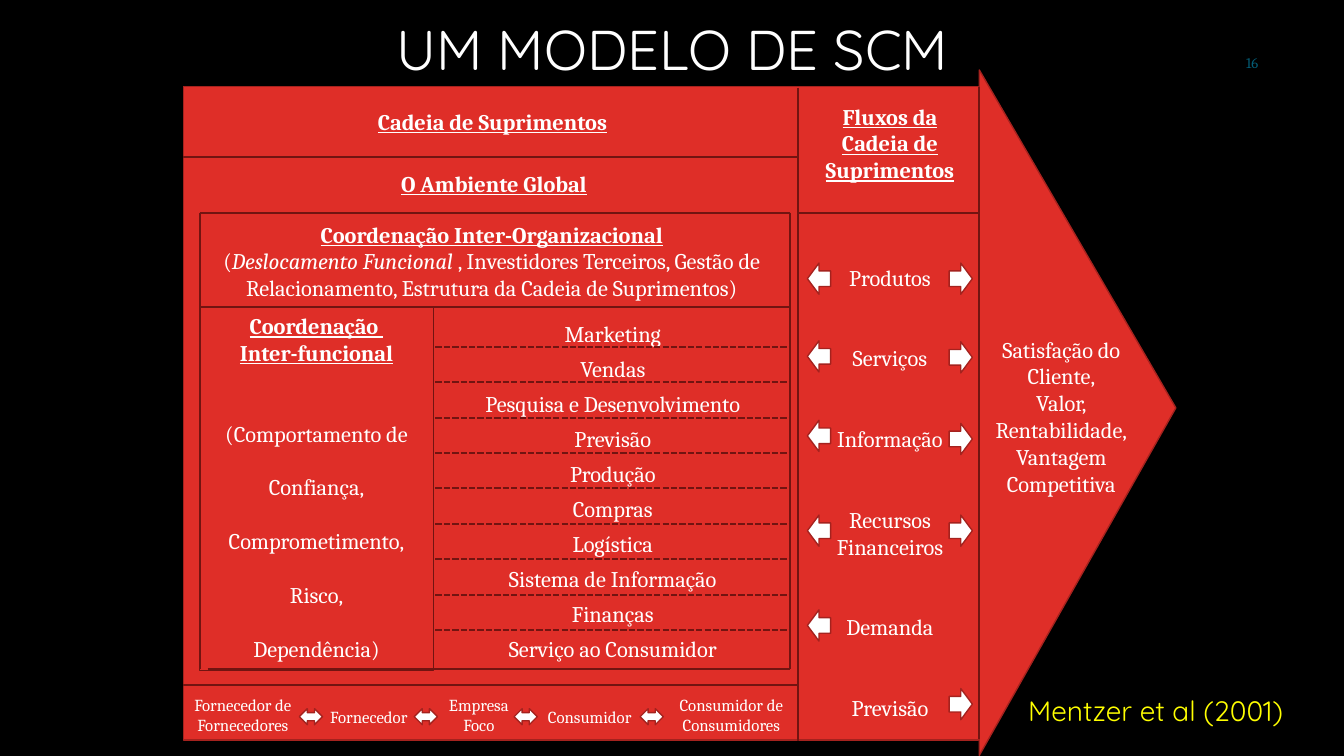
import lxml.etree
import pptx
import pptx.dml.color
import pptx.enum.dml
import pptx.enum.shapes
import pptx.enum.text
import pptx.oxml.ns
import pptx.util

Pt = pptx.util.Pt
ALIGN = pptx.enum.text.PP_ALIGN
ANCHOR = pptx.enum.text.MSO_ANCHOR
SHAPE = pptx.enum.shapes.MSO_SHAPE

LINE_HEIGHT = 19.2  # one line of 16 pt text


def colour(value):
    return pptx.dml.color.RGBColor.from_string(value)


def write(frame, text, font="Cambria", size=16, color="FFFFFF", bold=False,
          italic=False, underline=False, align=ALIGN.CENTER, spacing=None,
          before=0, paragraph=None):
    """Add one paragraph per line of text, or a run to the given paragraph."""
    for line in text.split("\n"):
        target = paragraph
        if target is None:
            first = frame.paragraphs[0]
            target = frame.add_paragraph() if first.runs else first
            target.alignment = align
            target.space_before = Pt(before)
            if spacing:
                target.line_spacing = spacing
        run = target.add_run()
        run.text = line
        run.font.name = font
        run.font.size = Pt(size)
        run.font.bold = bold
        run.font.italic = italic
        run.font.underline = underline
        run.font.color.rgb = colour(color)
    return target


class ModelSlide:
    red = "DF2E28"
    edge = "A5221E"
    divider = "721411"
    white = "FFFFFF"
    heading = {"bold": True, "underline": True}

    def __init__(self, presentation):
        self.slide = presentation.slides.add_slide(presentation.slide_layouts[1])
        self.slide.background.fill.solid()
        self.slide.background.fill.fore_color.rgb = colour("000000")

    def placeholder(self, index, left, top, width, height, text, anchor, **style):
        shape = self.slide.placeholders[index]
        shape.left, shape.top = Pt(left), Pt(top)
        shape.width, shape.height = Pt(width), Pt(height)
        frame = shape.text_frame
        frame.auto_size = pptx.enum.text.MSO_AUTO_SIZE.NONE
        frame.vertical_anchor = anchor
        paragraph = write(frame, text, font="Quicksand", spacing=0.9, **style)
        properties = paragraph._p.get_or_add_pPr()
        properties.set("marL", "0")
        properties.set("indent", "0")
        lxml.etree.SubElement(properties, pptx.oxml.ns.qn("a:buNone"))

    def text(self, left, top, width, height, text="", wrap=True,
             anchor=ANCHOR.TOP, **style):
        box = self.slide.shapes.add_textbox(Pt(left), Pt(top), Pt(width), Pt(height))
        frame = box.text_frame
        frame.word_wrap = wrap
        frame.vertical_anchor = anchor
        if text:
            write(frame, text, **style)
        return frame

    def shape(self, kind, left, top, width, height, fill=None, line=edge, weight=1):
        shape = self.slide.shapes.add_shape(
            kind, Pt(left), Pt(top), Pt(width), Pt(height))
        shape.shadow.inherit = False
        if fill:
            shape.fill.solid()
            shape.fill.fore_color.rgb = colour(fill)
        else:
            shape.fill.background()
        shape.line.color.rgb = colour(line)
        shape.line.width = Pt(weight)
        return shape

    def line(self, x1, y1, x2, y2, dashed=False):
        connector = self.slide.shapes.add_connector(
            pptx.enum.shapes.MSO_CONNECTOR.STRAIGHT, Pt(x1), Pt(y1), Pt(x2), Pt(y2))
        connector.line.color.rgb = colour(self.divider)
        connector.line.width = Pt(1.5)
        if dashed:
            connector.line.dash_style = pptx.enum.dml.MSO_LINE.SQUARE_DOT
        lxml.etree.SubElement(connector.element.spPr, pptx.oxml.ns.qn("a:effectLst"))


def add_panels(model):
    model.shape(SHAPE.RECTANGLE, 131, 62, 568, 466.6, model.red)
    arrowhead = model.shape(
        SHAPE.ISOSCELES_TRIANGLE, 524.9, 224.6, 489.6, 140.4, model.red)
    arrowhead.adjustments[0] = 0.493
    arrowhead.rotation = 90
    model.text(699.1, 236.2, 118.1, 123.8,
               "Satisfação do\nCliente,\nValor,\nRentabilidade,\nVantagem\nCompetitiva",
               wrap=False)
    model.text(258.5, 73.4, 186.5, 26.6, "Cadeia de Suprimentos",
               wrap=False, **model.heading)
    model.text(272.2, 118.1, 161.3, 26.6, "O Ambiente Global",
               wrap=False, **model.heading)


def add_coordination(model):
    frame = model.text(126.7, 154.1, 449.3, 65.5,
                       "Coordenação Inter-Organizacional", **model.heading)
    paragraph = write(frame, "(")
    write(frame, "Deslocamento Funcional", italic=True, paragraph=paragraph)
    write(frame, " , Investidores Terceiros, Gestão de Relacionamento, "
          "Estrutura da Cadeia de Suprimentos)", paragraph=paragraph)

    box = model.shape(SHAPE.RECTANGLE, 142.6, 219.6, 167, 259.2,
                      line=model.divider, weight=0.75)
    frame = box.text_frame
    frame.word_wrap = True
    frame.vertical_anchor = ANCHOR.TOP
    write(frame, "Coordenação \nInter-funcional", **model.heading)
    write(frame, "(Comportamento de", before=2 * LINE_HEIGHT)
    write(frame, "Confiança,\nComprometimento,\nRisco,\nDependência)",
          before=LINE_HEIGHT)

    functions = ["Marketing", "Vendas", "Pesquisa e Desenvolvimento", "Previsão",
                 "Produção", "Compras", "Logística", "Sistema de Informação",
                 "Finanças", "Serviço ao Consumidor"]
    model.text(316.8, 219.6, 241.9, 257.8, "\n".join(functions), spacing=Pt(25))
    for row in range(len(functions) - 1):
        y = 247.7 + 25.3 * row
        model.line(311, y, 564.5, y, dashed=True)


def add_flows(model):
    frame = model.text(581, 69.8, 109.4, 452.9,
                       "Fluxos da\nCadeia de\nSuprimentos", wrap=False, **model.heading)
    write(frame, "Produtos", before=3 * LINE_HEIGHT)
    write(frame, "Serviços\nInformação\nRecursos", before=2 * LINE_HEIGHT)
    write(frame, "Financeiros")
    write(frame, "Demanda\nPrevisão", before=2 * LINE_HEIGHT)

    left_tops = [187.9, 243.4, 300.2, 367.9, 435.6]
    right_tops = [187.9, 244.1, 302.4, 367.9, 491.8]
    for kind, x, tops in ((SHAPE.LEFT_ARROW, 576.7, left_tops),
                          (SHAPE.RIGHT_ARROW, 678, right_tops)):
        for top in tops:
            model.shape(kind, x, top, 16.6, 22.3, model.white)


def add_supply_chain(model):
    links = [
        (114.5, 492.5, 118, "Fornecedor de\nFornecedores"),
        (204.5, 501.1, 118, "Fornecedor"),
        (283, 492.5, 118, "Empresa\nFoco"),
        (362.2, 501.1, 118, "Consumidor"),
        (457.9, 492.5, 128.9, "Consumidor de Consumidores"),
    ]
    for left, top, width, text in links:
        model.text(left, top, width, 36, text, size=12)
    for left in (213.8, 295.9, 367.2, 457.2):
        model.shape(SHAPE.LEFT_RIGHT_ARROW, left, 506.2, 16.6, 11.5, model.white)


def add_dividers(model):
    dividers = [
        (570.2, 62.6, 570.2, 529.2),
        (570.2, 151.9, 699.1, 151.9),
        (699.1, 62, 699.1, 527.8),
        (131, 489.6, 570.2, 489.6),
        (131, 112.3, 570.2, 112.3),
        (142.6, 151.9, 564.5, 151.9),
        (142.6, 219.6, 564.5, 219.6),
        (148.3, 478.1, 564.5, 478.1),
        (142.6, 151.9, 142.6, 478.1),
        (564.5, 151.9, 564.5, 478.1),
    ]
    for ends in dividers:
        model.line(*ends)


def main():
    presentation = pptx.Presentation()
    presentation.slide_width = Pt(960)
    presentation.slide_height = Pt(540)
    model = ModelSlide(presentation)
    model.placeholder(0, 156.2, 5.8, 648, 62.6, "UM MODELO DE SCM",
                      ANCHOR.MIDDLE, size=40)
    model.placeholder(1, 727.2, 494.6, 211, 38.2, "Mentzer et al (2001)", ANCHOR.TOP,
                      size=20, color="FFFF00", align=ALIGN.JUSTIFY, before=10)
    add_panels(model)
    add_coordination(model)
    add_flows(model)
    add_supply_chain(model)
    add_dividers(model)
    model.text(689.8, 30.2, 216, 28.8, "16", anchor=ANCHOR.MIDDLE,
               size=10.5, color="045C75", align=ALIGN.RIGHT)
    presentation.save("out.pptx")


if __name__ == "__main__":
    main()
